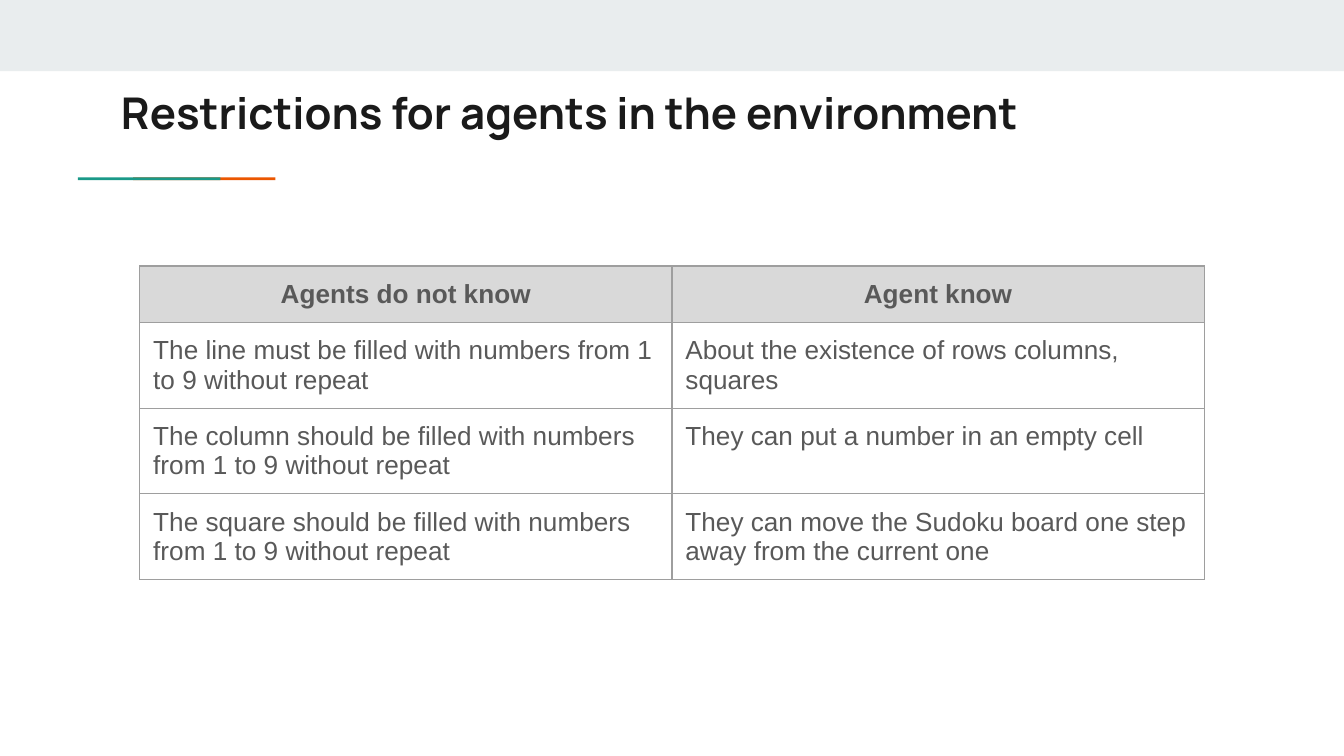
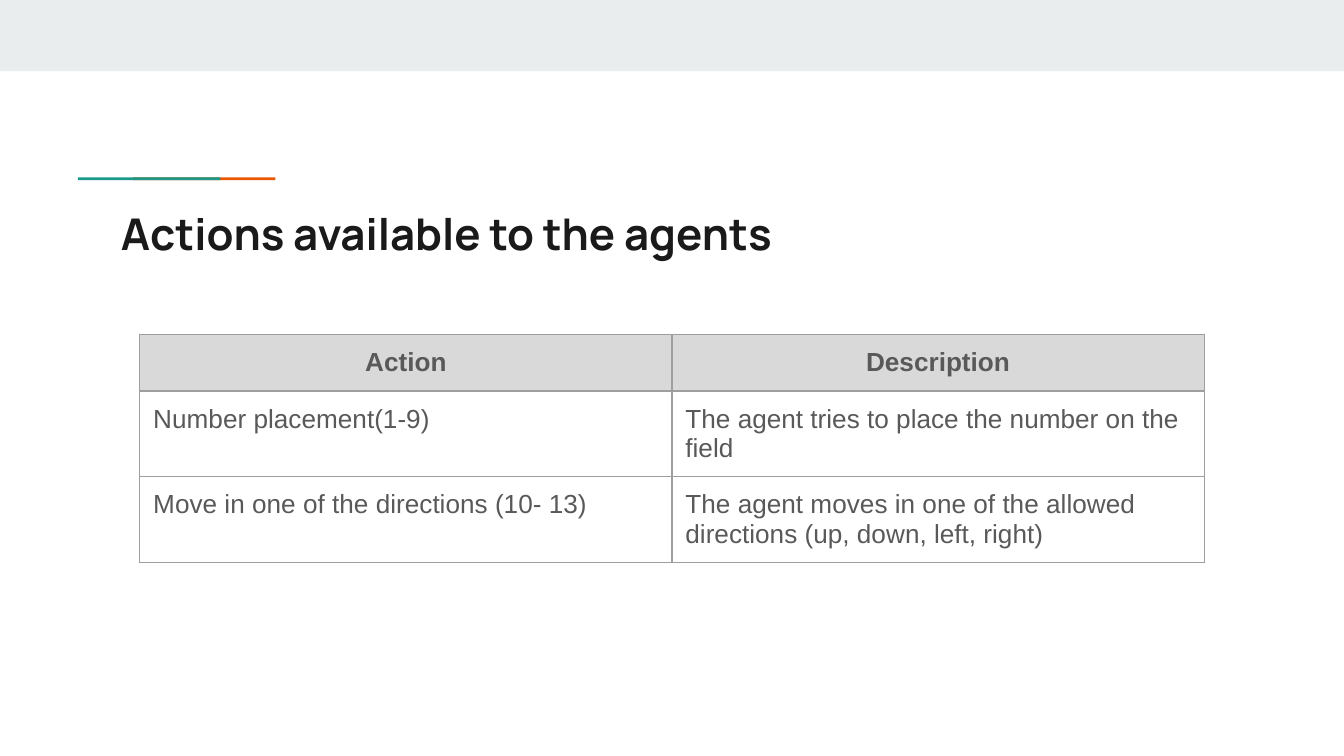
from lxml import etree
from pptx import Presentation
from pptx.dml.color import RGBColor
from pptx.enum.shapes import MSO_SHAPE
from pptx.enum.text import MSO_ANCHOR, MSO_AUTO_SIZE, PP_ALIGN
from pptx.oxml.ns import qn
from pptx.util import Inches, Pt

RECT = MSO_SHAPE.RECTANGLE
LEFT, CENTER = PP_ALIGN.LEFT, PP_ALIGN.CENTER
MIDDLE = MSO_ANCHOR.MIDDLE
NO_AUTOFIT = MSO_AUTO_SIZE.NONE

BAND = RGBColor(0xE9, 0xED, 0xEE)
ORANGE = RGBColor(0xEB, 0x56, 0x00)
TEAL = RGBColor(0x1A, 0x99, 0x88)
TITLE = RGBColor(0x1A, 0x1A, 0x1A)
BODY = RGBColor(0x59, 0x59, 0x59)
HEADER = RGBColor(0xD9, 0xD9, 0xD9)
BORDER = RGBColor(0x9E, 0x9E, 0x9E)

SLIDES = [
    {
        "title": "Restrictions for agents in the environment",
        "title_top": 0.54,
        "table_top": 1.98,
        "rows": [
            ("Agents do not know", "Agent know"),
            ("The line must be filled with numbers from 1 to 9 without repeat",
             "About the existence of rows columns, squares"),
            ("The column should be filled with numbers from 1 to 9 without repeat",
             "They can put a number in an empty cell"),
            ("The square should be filled with numbers from 1 to 9 without repeat",
             "They can move the Sudoku board one step away from the current one"),
        ],
    },
    {
        "title": "Actions available to the agents",
        "title_top": 1.44,
        "table_top": 2.49,
        "rows": [
            ("Action", "Description"),
            ("Number placement(1-9)",
             "The agent tries to place the number on the field"),
            ("Move in one of the directions (10- 13)",
             "The agent moves in one of the allowed directions (up, down, left, right)"),
        ],
    },
]

SLIDE_WIDTH = 10
SLIDE_HEIGHT = SLIDE_WIDTH * 9 / 16

DECOR = [
    (0, 0, SLIDE_WIDTH, 0.53, BAND),
    (0.99, 1.32, 1.06, 0.02, ORANGE),
    (0.58, 1.32, 1.06, 0.02, TEAL),
]

TABLE_LEFT, COL_WIDTH, ROW_HEIGHT = 1.04, 3.96, 0.42
INSET = Inches(0.1)


def set_text(tf, text, font="Arial", size=14, color=BODY, bold=False, align=LEFT):
    p = tf.paragraphs[0]
    p.alignment = align
    r = p.add_run()
    r.text = text
    r.font.name = font
    r.font.size = Pt(size)
    r.font.bold = bold
    r.font.color.rgb = color


def set_insets(box):
    box.margin_left = box.margin_right = INSET
    box.margin_top = box.margin_bottom = INSET


def set_borders(cell):
    tcPr = cell._tc.get_or_add_tcPr()
    for i, side in enumerate(("a:lnL", "a:lnR", "a:lnT", "a:lnB")):
        ln = etree.Element(qn(side), w=str(Pt(0.75)))
        fill = etree.SubElement(ln, qn("a:solidFill"))
        etree.SubElement(fill, qn("a:srgbClr"), val=str(BORDER))
        tcPr.insert(i, ln)


def add_decor(s):
    for x, y, w, h, color in DECOR:
        sp = s.shapes.add_shape(RECT, Inches(x), Inches(y), Inches(w), Inches(h))
        sp.shadow.inherit = False
        sp.fill.solid()
        sp.fill.fore_color.rgb = color
        sp.line.fill.background()


def add_title(s, text, top):
    sp = s.shapes.title
    sp.left, sp.top = Inches(0.8), Inches(top)
    sp.width, sp.height = Inches(8.41), Inches(0.59)
    tf = sp.text_frame
    tf.word_wrap = True
    tf.auto_size = NO_AUTOFIT
    tf.vertical_anchor = MIDDLE
    set_insets(tf)
    set_text(tf, text, font="Manrope", size=23.4, color=TITLE, bold=True)


def add_table(s, rows, top):
    n_cols = len(rows[0])
    frame = s.shapes.add_table(
        len(rows), n_cols, Inches(TABLE_LEFT), Inches(top),
        Inches(COL_WIDTH * n_cols), Inches(ROW_HEIGHT * len(rows)))
    table = frame.table
    table.first_row = table.horz_banding = False
    for col in table.columns:
        col.width = Inches(COL_WIDTH)
    for i, row in enumerate(rows):
        table.rows[i].height = Inches(ROW_HEIGHT)
        is_header = i == 0
        for j, text in enumerate(row):
            cell = table.cell(i, j)
            set_insets(cell)
            if is_header:
                cell.fill.solid()
                cell.fill.fore_color.rgb = HEADER
            else:
                cell.fill.background()
            set_borders(cell)
            set_text(cell.text_frame, text, bold=is_header,
                     align=CENTER if is_header else LEFT)


def main():
    prs = Presentation()
    prs.slide_width, prs.slide_height = Inches(SLIDE_WIDTH), Inches(SLIDE_HEIGHT)
    for content in SLIDES:
        s = prs.slides.add_slide(prs.slide_layouts[5])
        add_decor(s)
        add_title(s, content["title"], content["title_top"])
        add_table(s, content["rows"], content["table_top"])
    prs.save("out.pptx")


if __name__ == "__main__":
    main()
